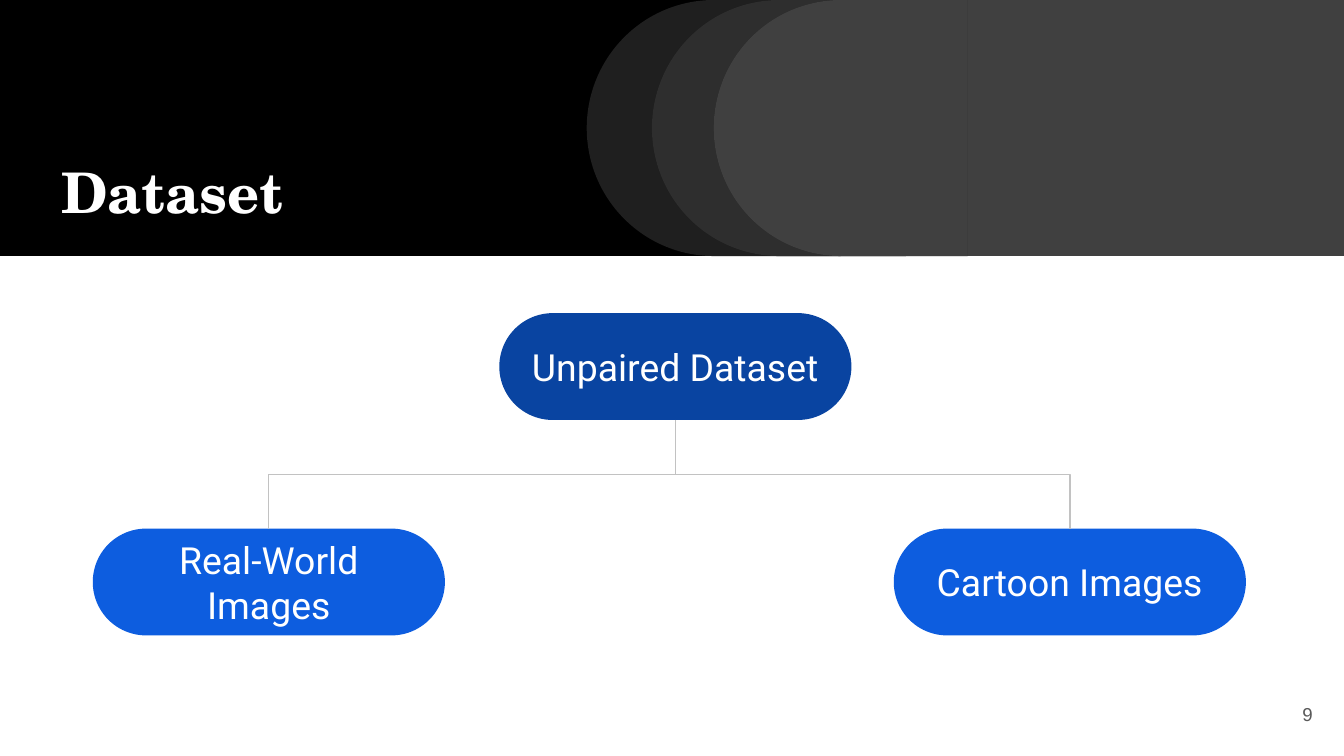
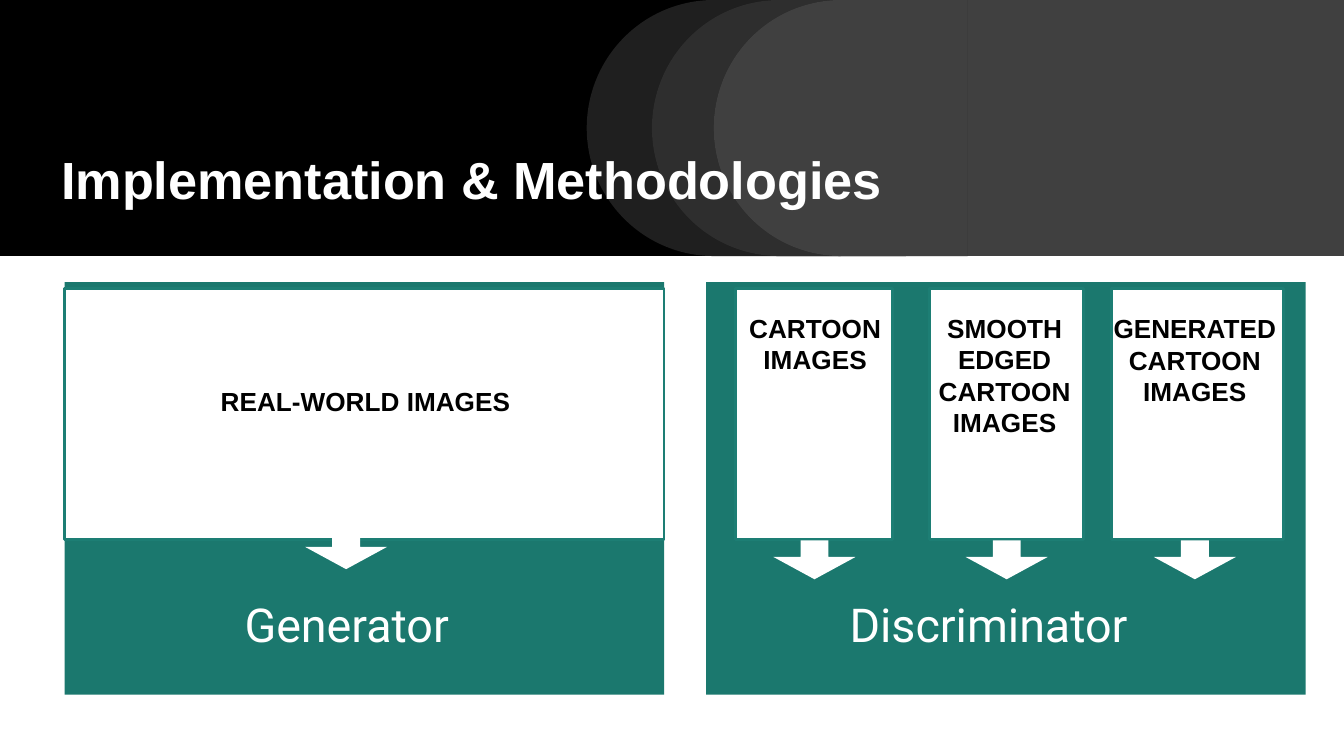
from dataclasses import dataclass
from typing import Any, NamedTuple, Optional

from lxml import etree
from pptx import Presentation
from pptx.dml.color import RGBColor
from pptx.enum.shapes import MSO_CONNECTOR, MSO_SHAPE
from pptx.enum.text import MSO_ANCHOR, MSO_AUTO_SIZE, PP_ALIGN
from pptx.oxml.ns import qn
from pptx.util import Inches, Pt

RECT, PILL = MSO_SHAPE.RECTANGLE, MSO_SHAPE.ROUNDED_RECTANGLE
DELAY, ARROW = MSO_SHAPE.FLOWCHART_DELAY, MSO_SHAPE.RIGHT_ARROW
ELBOW = MSO_CONNECTOR.ELBOW
LEFT, CENTER, RIGHT = PP_ALIGN.LEFT, PP_ALIGN.CENTER, PP_ALIGN.RIGHT
TOP, MIDDLE, BOTTOM = MSO_ANCHOR.TOP, MSO_ANCHOR.MIDDLE, MSO_ANCHOR.BOTTOM
NO_FIT, GROW = MSO_AUTO_SIZE.NONE, MSO_AUTO_SIZE.SHAPE_TO_FIT_TEXT
TITLE_ONLY = 5

# The 16:9 slide is a grid of square cells, 100 columns wide
WIDTH = Inches(10)
HEIGHT = WIDTH * 9 // 16
COLUMNS = 100
CELL = WIDTH // COLUMNS
INSET = CELL


class TextStyle(NamedTuple):
    font: dict[str, Any]
    color: str
    align: Any = CENTER
    anchor: Any = MIDDLE
    spacing: Optional[float] = None
    fit: Any = NO_FIT


@dataclass(frozen=True)
class Theme:
    black: str = "000000"
    white: str = "FFFFFF"
    navy: str = "0944A1"
    blue: str = "0D5DDF"
    teal: str = "1B786E"
    teal_edge: str = "1D7E74"
    grey: str = "C2C2C2"
    number_grey: str = "595959"
    serif: str = "TeX Gyre Schola"
    sans: str = "Arial"
    body: str = "Roboto"

    def text(self, name: str, size: float, color: str, bold: bool = False,
             **layout: Any) -> TextStyle:
        return TextStyle(dict(name=name, size=Pt(size), bold=bold), color, **layout)


THEME = Theme()
DATASET_TITLE = THEME.text(THEME.serif, 30, THEME.white, True, align=LEFT, anchor=BOTTOM)
METHODS_TITLE = THEME.text(THEME.sans, 28, THEME.white, True, align=LEFT, anchor=BOTTOM)
NUMBER = THEME.text(THEME.sans, 10, THEME.number_grey, align=RIGHT)
NODE = THEME.text(THEME.body, 20, THEME.white)
CAPTION = THEME.text(THEME.body, 25, THEME.white, anchor=TOP, spacing=1.15)
LABEL = THEME.text(THEME.sans, 14, THEME.black, True, anchor=TOP, fit=GROW)


class Box(NamedTuple):
    """A place in grid cells."""
    col: float
    row: float
    cols: float
    rows: float

    @property
    def mid(self) -> float:
        return self.col + self.cols / 2

    @property
    def bottom(self) -> float:
        return self.row + self.rows

    def emu(self) -> list[int]:
        return [round(n * CELL) for n in self]


class Node(NamedTuple):
    text: str
    box: Box
    color: str


class Card(NamedTuple):
    label: str
    label_box: Box
    col: float
    cols: float
    arrow_col: float  # centre of the arrow
    arrow_row: float


class Panel(NamedTuple):
    caption: str
    col: float
    caption_col: float
    cards: list[Card]


BAND_ROWS = 19.05
DELAY_COLS = 18.9
DELAYS = [(43.65, 12), (48.5, 18), (53.1, 25)]  # column, percent of white

NODE_COLS, NODE_ROWS = 26.2, 7.95
ROOT = Node("Unpaired Dataset", Box(37.15, 23.3, NODE_COLS, NODE_ROWS), THEME.navy)
REAL, CARTOON = (Node(text, Box(col, 39.33, NODE_COLS, NODE_ROWS), THEME.blue)
                 for text, col in [("Real-World Images", 6.9), ("Cartoon Images", 66.5)])

PANEL_COLS, PANEL_ROW, PANEL_ROWS = 44.6, 21, 30.7
CARD_ROW, CARD_ROWS = 21.45, 18.7
CAPTION_ROW, CAPTION_ROWS = 42.7, 8.2
ARROW_LENGTH, ARROW_SPREAD = 2.9, 6.1
PANELS = [
    Panel("Generator", 4.82, 3.5, [
        Card("REAL-WORLD IMAGES", Box(5, 27.7, 44.4, 4.4), 4.82, 44.6, 25.75, 40.9)]),
    Panel("Discriminator", 52.55, 51.25, [
        Card("CARTOON\nIMAGES", Box(53.4, 22.25, 14.5, 6.7), 54.7, 11.7, 60.6, 41.65),
        Card("SMOOTH EDGED\nCARTOON\nIMAGES", Box(66.15, 22.25, 17.2, 11.4),
             69.15, 11.45, 74.9, 41.65),
        Card("GENERATED\nCARTOON\nIMAGES", Box(80.65, 22.25, 16.5, 9.1),
             82.7, 12.8, 88.9, 41.65)]),
]


def write(sp: Any, text: str, style: TextStyle) -> None:
    tf = sp.text_frame
    frame = dict(word_wrap=True, auto_size=style.fit, vertical_anchor=style.anchor)
    frame |= {f"margin_{side}": INSET for side in ("left", "right", "top", "bottom")}
    for key, value in frame.items():
        setattr(tf, key, value)
    for i, line in enumerate(text.split("\n")):
        p = tf.add_paragraph() if i else tf.paragraphs[0]
        p.alignment = style.align
        if style.spacing:
            p.line_spacing = style.spacing
        r = p.add_run()
        r.text = line
        for key, value in style.font.items():
            setattr(r.font, key, value)
        r.font.color.rgb = RGBColor.from_string(style.color)


def draw(shapes: Any, kind: Any, box: Box, fill: str, edge: Optional[str] = None,
         opacity: int = 100, rotation: float = 0, adjust: tuple[float, ...] = ()) -> Any:
    sp = shapes.add_shape(kind, *box.emu())
    sp.shadow.inherit = False
    sp.rotation = rotation
    for i, value in enumerate(adjust):
        sp.adjustments[i] = value
    sp.fill.solid()
    sp.fill.fore_color.rgb = RGBColor.from_string(fill)
    if opacity < 100:
        color = sp.element.find(".//" + qn("a:srgbClr"))
        etree.SubElement(color, qn("a:alpha"), val=str(opacity * 1000))
    if edge:
        sp.line.color.rgb = RGBColor.from_string(edge)
        sp.line.width = Pt(1.5)
    else:
        sp.line.fill.background()
    return sp


def add_text(shapes: Any, box: Box, text: str, style: TextStyle) -> None:
    write(shapes.add_textbox(*box.emu()), text, style)


def join(shapes: Any, x1: float, y1: float, x2: float, y2: float) -> None:
    """Elbow that leaves and arrives vertically: a level elbow turned by 270 degrees."""
    mid_x, mid_y = (x1 + x2) / 2, (y1 + y2) / 2
    half_x, half_y = (x2 - x1) / 2, (y2 - y1) / 2
    ends = (mid_x + half_y, mid_y - half_x, mid_x - half_y, mid_y + half_x)
    line = shapes.add_connector(ELBOW, *(round(n * CELL) for n in ends))
    line.line.color.rgb = RGBColor.from_string(THEME.grey)
    line.line.width = Pt(0.75)
    props = line.element.spPr
    props.find(qn("a:xfrm")).set("rot", str(270 * 60000))
    etree.SubElement(props, qn("a:effectLst"))


def add_band(slide: Any) -> None:
    """Draw the header band and move it to the layout that the slides share."""
    shapes = slide.shapes
    band = [draw(shapes, RECT, Box(0, 0, COLUMNS, BAND_ROWS), THEME.black),
            draw(shapes, RECT, Box(71.6, 0, 28.4, BAND_ROWS), THEME.white, opacity=25)]
    for col, opacity in DELAYS:
        box = Box(col, 0, DELAY_COLS, BAND_ROWS)
        band.append(draw(shapes, DELAY, box, THEME.black, rotation=180))
        band.append(draw(shapes, DELAY, box, THEME.white, opacity=opacity, rotation=180))
    for sp in band:
        slide.slide_layout.shapes.element.append(sp.element)


def add_slide(prs: Any, title: str, box: Box, style: TextStyle) -> Any:
    slide = prs.slides.add_slide(prs.slide_layouts[TITLE_ONLY])
    sp = slide.shapes.title
    for key, value in zip(("left", "top", "width", "height"), box.emu()):
        setattr(sp, key, value)
    write(sp, title, style)
    return slide


def add_node(shapes: Any, node: Node) -> None:
    write(draw(shapes, PILL, node.box, node.color, adjust=(0.5,)), node.text, NODE)


def add_panel(slide: Any, panel: Panel) -> None:
    shapes = slide.shapes.add_group_shape().shapes
    draw(shapes, RECT, Box(panel.col, PANEL_ROW, PANEL_COLS, PANEL_ROWS), THEME.teal)
    for card in panel.cards:
        draw(shapes, RECT, Box(card.col, CARD_ROW, card.cols, CARD_ROWS),
             THEME.white, edge=THEME.teal_edge)
        arrow = Box(card.arrow_col - ARROW_LENGTH / 2, card.arrow_row - ARROW_SPREAD / 2,
                    ARROW_LENGTH, ARROW_SPREAD)
        draw(shapes, ARROW, arrow, THEME.white, rotation=90, adjust=(0.34, 0.57))
    add_text(shapes, Box(panel.caption_col, CAPTION_ROW, PANEL_COLS, CAPTION_ROWS),
             panel.caption, CAPTION)
    for card in panel.cards:
        add_text(slide.shapes, card.label_box, card.label, LABEL)


def build_dataset(prs: Any) -> None:
    slide = add_slide(prs, "Dataset", Box(3.55, 1.6, 95.7, 16.1), DATASET_TITLE)
    add_band(slide)
    shapes = slide.shapes
    add_text(shapes, Box(92.65, 51, 6, 4.3), "9", NUMBER)
    for node in (ROOT, CARTOON, REAL):
        add_node(shapes, node)
    root = ROOT.box.mid, ROOT.box.bottom
    join(shapes, *root, CARTOON.box.mid, CARTOON.box.row)
    join(shapes, REAL.box.mid, REAL.box.row, *root)


def build_methods(prs: Any) -> None:
    slide = add_slide(prs, "Implementation & Methodologies",
                      Box(3.55, 1.6, 91.9, 15), METHODS_TITLE)
    for panel in PANELS:
        add_panel(slide, panel)


def main() -> None:
    prs = Presentation()
    prs.slide_width, prs.slide_height = WIDTH, HEIGHT
    build_dataset(prs)
    build_methods(prs)
    prs.save("out.pptx")


if __name__ == "__main__":
    main()
